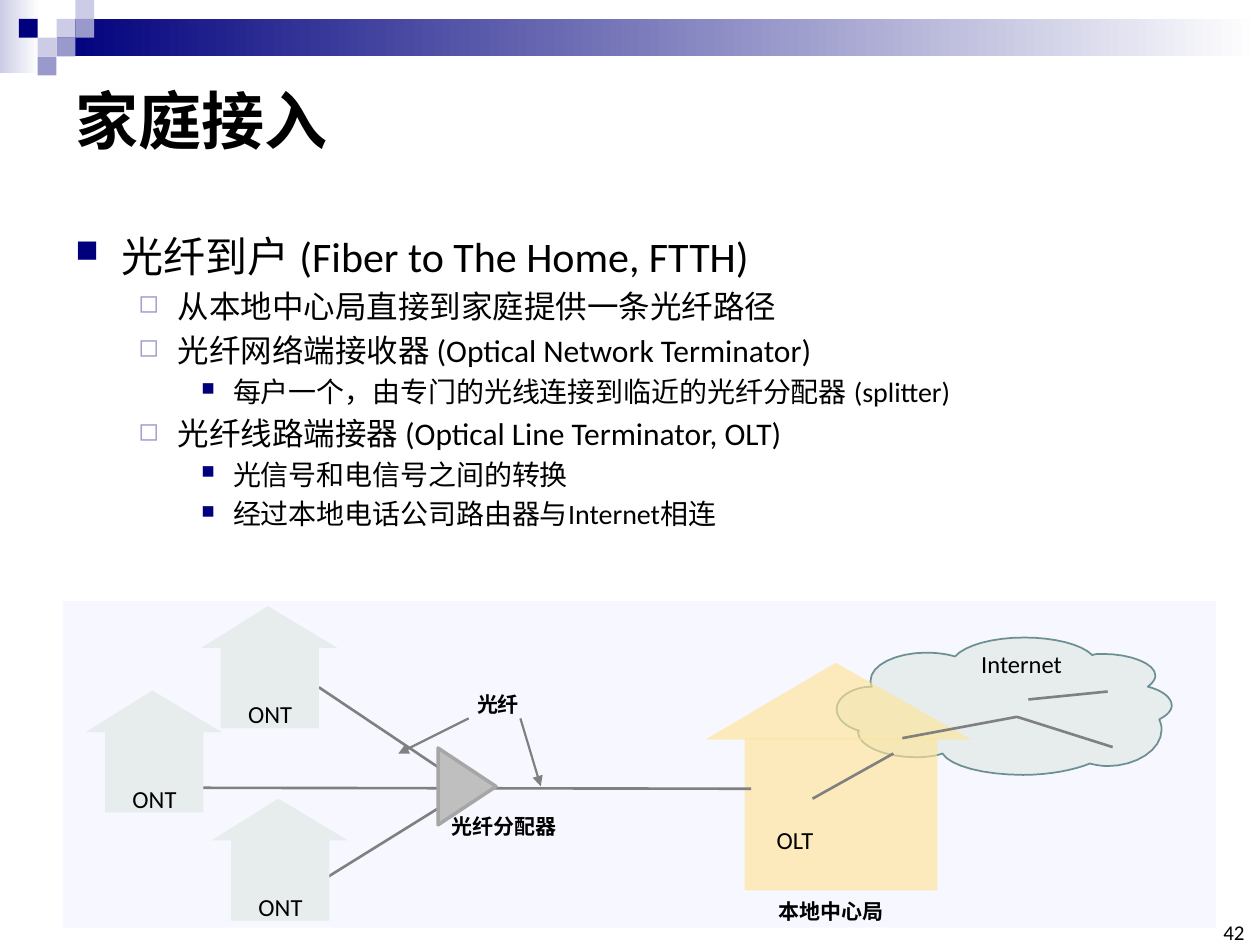
from typing import NamedTuple

from pptx import Presentation
from pptx.dml.color import RGBColor
from pptx.enum import shapes, text
from pptx.oxml import ns, xmlchemy
from pptx.util import Cm, Pt

NAVY = RGBColor(0x00, 0x00, 0x7D)
PERIWINKLE = RGBColor(0x99, 0x99, 0xCC)
LAVENDER = RGBColor(0xCC, 0xCC, 0xE6)
WHITE = RGBColor(0xFF, 0xFF, 0xFF)
BLACK = RGBColor(0x00, 0x00, 0x00)
PANEL = RGBColor(0xF7, 0xF7, 0xFF)
PALE_GREEN = RGBColor(0xE7, 0xED, 0xED)
CLOUD_EDGE = RGBColor(0x6C, 0x8F, 0x93)
OFFICE_YELLOW = RGBColor(0xFF, 0xE4, 0x97)
FIBER_GREY = RGBColor(0x80, 0x80, 0x80)
SPLITTER_FILL = RGBColor(0xBF, 0xBF, 0xBF)
SPLITTER_EDGE = RGBColor(0xA6, 0xA6, 0xA6)

LATIN, CHINESE = "Calibri", "Noto Sans CJK SC"
RECT = shapes.MSO_SHAPE.RECTANGLE
TRIANGLE = shapes.MSO_SHAPE.ISOSCELES_TRIANGLE
LEFT, CENTER, RIGHT = text.PP_ALIGN.LEFT, text.PP_ALIGN.CENTER, text.PP_ALIGN.RIGHT
TOP, BOTTOM = text.MSO_ANCHOR.TOP, text.MSO_ANCHOR.BOTTOM


class Box(NamedTuple):
    """Left, top, width and height in centimetres."""
    left: float
    top: float
    width: float
    height: float


class Level(NamedTuple):
    size: int
    margin: float
    hanging: float
    bullet: str
    color: RGBColor
    bullet_percent: int


class Label(NamedTuple):
    words: str
    box: Box
    size: int = 12
    font: str = CHINESE
    bold: bool = True


class Fiber(NamedTuple):
    x1: float
    y1: float
    x2: float
    y2: float
    width: float = 1.5
    arrow: bool = False


LEVELS = [
    Level(24, 0.94, 0.94, "■", NAVY, 75),
    Level(18, 2.06, 0.79, "◻", PERIWINKLE, 80),
    Level(16, 3.18, 0.64, "■", NAVY, 65),
]
OUTLINE = [
    (0, "光纤到户 (Fiber to The Home, FTTH)"),
    (1, "从本地中心局直接到家庭提供一条光纤路径"),
    (1, "光纤网络端接收器 (Optical Network Terminator)"),
    (2, "每户一个，由专门的光线连接到临近的光纤分配器 (splitter)"),
    (1, "光纤线路端接器 (Optical Line Terminator, OLT)"),
    (2, "光信号和电信号之间的转换"),
    (2, "经过本地电话公司路由器与Internet相连"),
]
HEADER_SQUARES = [(3, 1, LAVENDER), (4, 0, LAVENDER), (4, 1, PERIWINKLE), (2, 2, LAVENDER),
                  (1, 1, NAVY), (3, 2, PERIWINKLE), (2, 3, PERIWINKLE)]
SQUARE = 0.38

# Cloud outline as cubic curves (two controls, one end), in hundredths of 2.54 cm
CLOUD_START = (692, 545)
CLOUD_CURVES = [
    (691, 543, 691, 542, 691, 540), (691, 528, 711, 518, 735, 518), (743, 518, 751, 519, 758, 521),
    (766, 512, 788, 506, 813, 506), (836, 506, 858, 511, 867, 520),
    (869, 519, 872, 519, 875, 519), (898, 519, 917, 527, 917, 536), (917, 539, 915, 542, 911, 545),
    (923, 548, 930, 554, 930, 560), (930, 564, 926, 568, 920, 571),
    (921, 573, 922, 576, 922, 579), (922, 595, 902, 608, 879, 608), (874, 608, 869, 607, 865, 606),
    (853, 611, 833, 615, 812, 615), (781, 615, 754, 608, 748, 598),
    (743, 600, 735, 601, 727, 601), (702, 601, 681, 592, 681, 581), (681, 580, 681, 580, 682, 580),
    (671, 577, 664, 570, 664, 563), (664, 553, 677, 545, 692, 545),
]
CLOUD_UNIT = 0.0254

HOME_DROP = Fiber(8.84, 15.47, 6.45, 13.87)
FIBERS = [
    Fiber(8.89, 16.26, 6.12, 17.98),
    Fiber(15.14, 15.9, 3.48, 15.88),
    Fiber(20.5, 14.45, 18.19, 14.88),
    Fiber(22.33, 13.94, 20.73, 14.1),
    Fiber(22.43, 15.06, 20.5, 14.45),
    Fiber(18.01, 15.19, 16.38, 16.1),
]
POINTERS = [Fiber(10.49, 14.48, 10.9, 15.85, 1.25, True), Fiber(9.45, 14.48, 8.03, 15.19, 1.25, True)]
LABELS = [
    Label("光纤分配器", Box(9.04, 16.41, 2.26, 0.71)),
    Label("本地中心局", Box(15.49, 18.11, 2.51, 0.28)),
    Label("光纤", Box(9.19, 13.94, 1.7, 0.66)),
    Label("OLT", Box(15.01, 16.64, 2.03, 0.56), 14, LATIN, False),
    Label("Internet", Box(19.58, 13.08, 2.03, 0.56), 14, LATIN, False),
]
HOMES = [(4.06, 12.22), (1.73, 13.92), (4.27, 16.1)]


def add_element(parent, tag: str, **attributes):
    element = xmlchemy.OxmlElement(tag)
    for name, value in attributes.items():
        element.set(name, str(value))
    parent.append(element)
    return element


def set_font(paragraph, size: int, name: str, bold: bool = False) -> None:
    font = paragraph.font
    font.size, font.name, font.bold = Pt(size), name, bold
    font.color.rgb = BLACK
    add_element(paragraph._p.pPr.find(ns.qn("a:defRPr")), "a:ea", typeface=name)


def add_block(slide, kind, box: Box, color: RGBColor, opacity: int = 100):
    block = slide.shapes.add_shape(kind, *map(Cm, box))
    block.shadow.inherit = False
    block.fill.solid()
    block.fill.fore_color.rgb = color
    block.line.fill.background()
    if opacity < 100:
        clr = block._element.spPr.find(ns.qn("a:solidFill"))[0]
        add_element(clr, "a:alpha", val=opacity * 1000)
    return block


def add_fade(slide, box: Box, color: RGBColor) -> None:
    fill = add_block(slide, RECT, box, color).fill
    fill.gradient()
    fill.gradient_angle = 0
    for stop, position, shade in zip(fill.gradient_stops, (0, 1), (color, WHITE)):
        stop.position, stop.color.rgb = position, shade


def add_label(slide, label: Label, align=CENTER, anchor=TOP) -> None:
    frame = slide.shapes.add_textbox(*map(Cm, label.box)).text_frame
    frame.margin_left = frame.margin_right = frame.margin_top = frame.margin_bottom = 0
    frame.word_wrap, frame.vertical_anchor = True, anchor
    paragraph = frame.paragraphs[0]
    paragraph.text, paragraph.alignment = label.words, align
    set_font(paragraph, label.size, label.font, label.bold)


def add_fiber(slide, fiber: Fiber):
    connector = slide.shapes.add_connector(shapes.MSO_CONNECTOR.STRAIGHT, *map(Cm, fiber[:4]))
    connector.line.color.rgb, connector.line.width = FIBER_GREY, Pt(fiber.width)
    if fiber.arrow:
        add_element(connector.line._get_or_add_ln(), "a:tailEnd", type="triangle")
    add_element(connector._element.spPr, "a:effectLst")
    return connector


def add_house(slide, roof: Box, wall: Box, color: RGBColor, opacity: int = 100):
    add_block(slide, TRIANGLE, roof, color, opacity).adjustments[0] = 0.49
    return add_block(slide, RECT, wall, color, opacity)


def add_cloud(slide) -> None:
    points, (x, y) = [], CLOUD_START
    for ax, ay, bx, by, end_x, end_y in CLOUD_CURVES:
        for t in (step / 8 for step in range(1, 9)):
            weights = ((1 - t) ** 3, 3 * t * (1 - t) ** 2, 3 * t * t * (1 - t), t ** 3)
            points.append(tuple(Cm(CLOUD_UNIT * sum(w * v for w, v in zip(weights, axis)))
                                for axis in ((x, ax, bx, end_x), (y, ay, by, end_y))))
        x, y = end_x, end_y
    builder = slide.shapes.build_freeform(*(Cm(CLOUD_UNIT * v) for v in CLOUD_START))
    builder.add_line_segments(points, close=True)
    cloud = builder.convert_to_shape()
    cloud.shadow.inherit = False
    cloud.fill.solid()
    cloud.fill.fore_color.rgb = PALE_GREEN
    cloud.line.color.rgb, cloud.line.width = CLOUD_EDGE, Pt(1)


def add_outline(slide) -> None:
    frame = slide.shapes.add_textbox(*map(Cm, (1.27, 4.01, 22.86, 7.59))).text_frame
    frame.word_wrap = True
    for index, (depth, words) in enumerate(OUTLINE):
        level = LEVELS[depth]
        paragraph = frame.add_paragraph() if index else frame.paragraphs[0]
        paragraph.text, paragraph.level, paragraph.alignment = words, depth, LEFT
        if index:
            paragraph.space_before = Pt(round(level.size * 0.2, 1))
        else:
            paragraph.line_spacing = 1.5
        properties = paragraph._p.get_or_add_pPr()
        properties.set("marL", str(Cm(level.margin)))
        properties.set("indent", str(-Cm(level.hanging)))
        add_element(add_element(properties, "a:buClr"), "a:srgbClr", val=level.color)
        add_element(properties, "a:buSzPct", val=level.bullet_percent * 1000)
        add_element(properties, "a:buChar", char=level.bullet)
        set_font(paragraph, level.size, LATIN)


def main() -> None:
    deck = Presentation()
    deck.slide_width, deck.slide_height = Cm(25.4), Cm(19.05)
    slide = deck.slides.add_slide(deck.slide_layouts[5])

    # Header band
    add_fade(slide, Box(0, 0, 0.79, 1.47), LAVENDER)
    add_fade(slide, Box(1.14, 0.38, 24.26, 0.76), NAVY)
    for column, row, color in HEADER_SQUARES:
        add_block(slide, RECT, Box(column * SQUARE, row * SQUARE, SQUARE, SQUARE), color)

    # Title, outline and page number
    title = slide.shapes.title
    title.left, title.top, title.width, title.height = map(Cm, (1.27, 1.27, 22.86, 2.26))
    title.text_frame.text = "家庭接入"
    title.text_frame.vertical_anchor = text.MSO_ANCHOR.MIDDLE
    title.text_frame.paragraphs[0].alignment = LEFT
    set_font(title.text_frame.paragraphs[0], 36, CHINESE, True)
    add_outline(slide)
    add_label(slide, Label("42", Box(24.51, 18.62, 0.58, 0.43), 12, LATIN, False), RIGHT, BOTTOM)

    # Network diagram: cloud, central office, fibers, splitter
    add_block(slide, RECT, Box(1.27, 12.12, 23.24, 6.58), PANEL)
    add_cloud(slide)
    add_house(slide, Box(14.22, 13.36, 5.36, 1.55), Box(15.01, 14.88, 3.89, 3.07), OFFICE_YELLOW, 64)
    home_drop = add_fiber(slide, HOME_DROP)
    for fiber in FIBERS:
        add_fiber(slide, fiber)
    splitter = add_block(slide, TRIANGLE, Box(8.64, 15.27, 1.55, 1.17), SPLITTER_FILL)
    splitter.rotation = 90
    splitter.line.color.rgb, splitter.line.width = SPLITTER_EDGE, Pt(2)
    for pointer in POINTERS:
        add_fiber(slide, pointer)
    for label in LABELS:
        add_label(slide, label)

    # Homes, the first one joined to its fiber
    walls = []
    for x, y in HOMES:
        walls.append(add_house(slide, Box(x, y, 2.74, 0.84), Box(x + 0.39, y + 0.81, 1.98, 1.65), PALE_GREEN))
        add_label(slide, Label("ONT", Box(x + 0.37, y + 1.88, 2.03, 0.56), 14, LATIN, False))
    home_drop.end_connect(walls[0], 3)

    deck.save("out.pptx")


if __name__ == "__main__":
    main()
